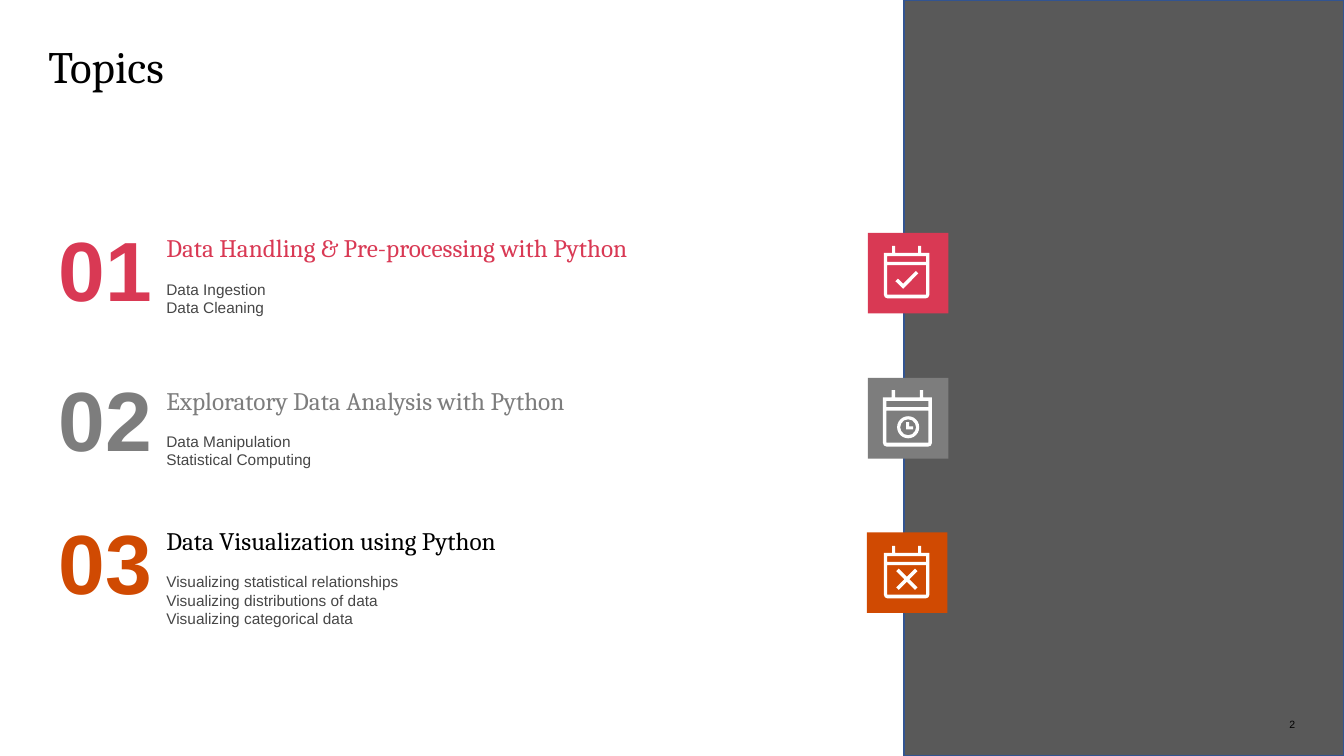
import pptx
import pptx.util
import pptx.dml.color
import pptx.enum.shapes
import pptx.enum.text

Pt = pptx.util.Pt
RGBColor = pptx.dml.color.RGBColor
Shape = pptx.enum.shapes.MSO_SHAPE
Align = pptx.enum.text.PP_ALIGN
Anchor = pptx.enum.text.MSO_ANCHOR

BLACK = RGBColor(0x00, 0x00, 0x00)
WHITE = RGBColor(0xFF, 0xFF, 0xFF)
ROSE = RGBColor(0xD9, 0x39, 0x54)
GRAY = RGBColor(0x7D, 0x7D, 0x7D)
ORANGE = RGBColor(0xD0, 0x4A, 0x02)
BODY = RGBColor(0x46, 0x46, 0x46)
PANEL = RGBColor(0x59, 0x59, 0x59)
PANEL_EDGE = RGBColor(0x32, 0x54, 0x91)
SERIF, SANS = "Cambria", "Arial"
BADGE_SIZE = 57.6

# Calendar contours: outline with two pegs, page area, header strip
CALENDAR = [
    [(26.6, 4.9), (26.6, 0), (24.4, 0), (24.4, 4.9), (8, 4.9), (8, 0),
     (5.8, 0), (5.8, 4.9), (0, 4.9), (0, 35), (0.7, 36.7), (2.4, 37.4),
     (30, 37.4), (31.7, 36.7), (32.4, 35), (32.4, 4.9)],
    [(30.1, 34.8), (2.3, 34.8), (2.3, 13.7), (30.1, 13.7)],
    [(30.1, 11.4), (2.3, 11.4), (2.3, 7.2), (30.1, 7.2)],
]
CHECK = [(24.5, 19.6), (22.8, 17.9), (13.7, 27), (10, 23.4), (8.2, 25.2),
         (13.7, 30.6)]
CLOCK_HANDS = [(16.6, 23), (18.8, 23), (18.8, 25.9), (21.6, 25.9),
               (21.6, 28.1), (16.6, 28.1)]


class Page:
    """Holds the style and the current slide."""

    def __init__(self, slide):
        self.shapes = slide.shapes

    def text(self, box, lines, size, color, font=SANS, bold=False, inset=0,
             align=Align.LEFT, anchor=Anchor.TOP):
        """Add a text box with one paragraph per line and return its paragraphs."""
        frame = self.shapes.add_textbox(*map(Pt, box)).text_frame
        frame.word_wrap = True
        frame.vertical_anchor = anchor
        frame.margin_left = frame.margin_right = Pt(inset)
        frame.margin_top = frame.margin_bottom = Pt(inset)
        frame.text = "\n".join(lines)
        for para in frame.paragraphs:
            para.alignment = align
            self.style(para, size, color, font, bold)
        return frame.paragraphs

    def style(self, para, size, color, font, bold=False):
        """Format every run of a paragraph."""
        for span in para.runs:
            span.font.size = Pt(size)
            span.font.name = font
            span.font.bold = bold
            span.font.color.rgb = color

    def paint(self, shape, fill, edge=None):
        """Give a shape a flat fill and an optional thin edge."""
        shape.shadow.inherit = False
        shape.fill.solid()
        shape.fill.fore_color.rgb = fill
        if edge is None:
            shape.line.fill.background()
        else:
            shape.line.color.rgb = edge
            shape.line.width = Pt(1)
        return shape

    def preset(self, kind, box, fill, edge=None):
        """Add a preset shape."""
        return self.paint(self.shapes.add_shape(kind, *map(Pt, box)), fill, edge)

    def outline(self, left, top, contours, scale=1):
        """Add a white closed outline whose inner contours are holes."""
        builder = None
        for contour in contours:
            points = [(Pt(left + x * scale), Pt(top + y * scale))
                      for x, y in contour]
            if builder is None:
                builder = self.shapes.build_freeform(*points[0], scale=1.0)
            else:
                builder.move_to(*points[0])
            builder.add_line_segments(points[1:], close=True)
        self.paint(builder.convert_to_shape(), WHITE)

    def topic(self, top, heading, color, items):
        """Add a heading with its list of items."""
        box = (118.8, top, 361.4, 62.6)
        first, *rest = self.text(box, [heading, *items], 11, BODY)
        self.style(first, 18, color, SERIF)
        first.space_after = Pt(12)


def draw_check(page, left, top):
    """Draw a tick inside a calendar."""
    page.outline(left, top, [CHECK])


def draw_clock(page, left, top):
    """Draw a clock inside a calendar."""
    ring = page.preset(Shape.DONUT, (left + 10.1, top + 18.7, 15.8, 15.8), WHITE)
    ring.adjustments[0] = 0.14
    page.outline(left, top, [CLOCK_HANDS])


def draw_cross(page, left, top):
    """Draw a cross inside a calendar, one arm per quarter turn."""
    arm, points = [(0, -1.8), (5.8, -7.6), (7.6, -5.8)], []
    for _ in range(4):
        points += arm
        arm = [(-y, x) for x, y in arm]
    page.outline(left + 16.4, top + 23.8, [points])


# number, number top, color, heading, heading top, heading color, items,
# badge corner, calendar corner, calendar scale, calendar mark
TOPICS = [
    ("01", 148.3, ROSE, "Data Handling & Pre-processing with Python", 166.3,
     ROSE, ["Data Ingestion", "Data Cleaning"],
     (619.9, 166.3), (631.4, 175.7), 1, draw_check),
    ("02", 255.6, GRAY, "Exploratory Data Analysis with Python", 274.9,
     GRAY, ["Data Manipulation", "Statistical Computing"],
     (619.9, 270), (630.7, 278.6), 1.08, draw_clock),
    ("03", 357.8, ORANGE, "Data Visualization using Python", 375.1, BLACK,
     ["Visualizing statistical relationships",
      "Visualizing distributions of data", "Visualizing categorical data"],
     (619.2, 380.2), (631.4, 390), 1, draw_cross),
]


def main():
    """Build the topics slide."""
    deck = pptx.Presentation()
    deck.slide_width, deck.slide_height = Pt(960), Pt(540)
    page = Page(deck.slides.add_slide(deck.slide_layouts[6]))

    title = page.text((34.6, 33.8, 889.9, 39.6), ["Topics"], 32, BLACK, SERIF)
    title[0].line_spacing = 0.85
    page.preset(Shape.RECTANGLE, (645.8, 0, 314.2, 540), PANEL, PANEL_EDGE)
    page.text((786.2, 511.2, 139, 10.8), ["2"], 7.5, BLACK,
              align=Align.RIGHT, anchor=Anchor.BOTTOM)

    for (number, number_top, color, heading, heading_top, heading_color, items,
         badge, calendar, scale, draw_mark) in TOPICS:
        page.topic(heading_top, heading, heading_color, items)
        page.preset(Shape.RECTANGLE, (*badge, BADGE_SIZE, BADGE_SIZE), color)
        page.outline(*calendar, CALENDAR, scale)
        draw_mark(page, *calendar)
        page.text((34.6, number_top, 236.2, 86.4), [number], 60, color,
                  bold=True, inset=7.2)

    deck.save("out.pptx")


main()
